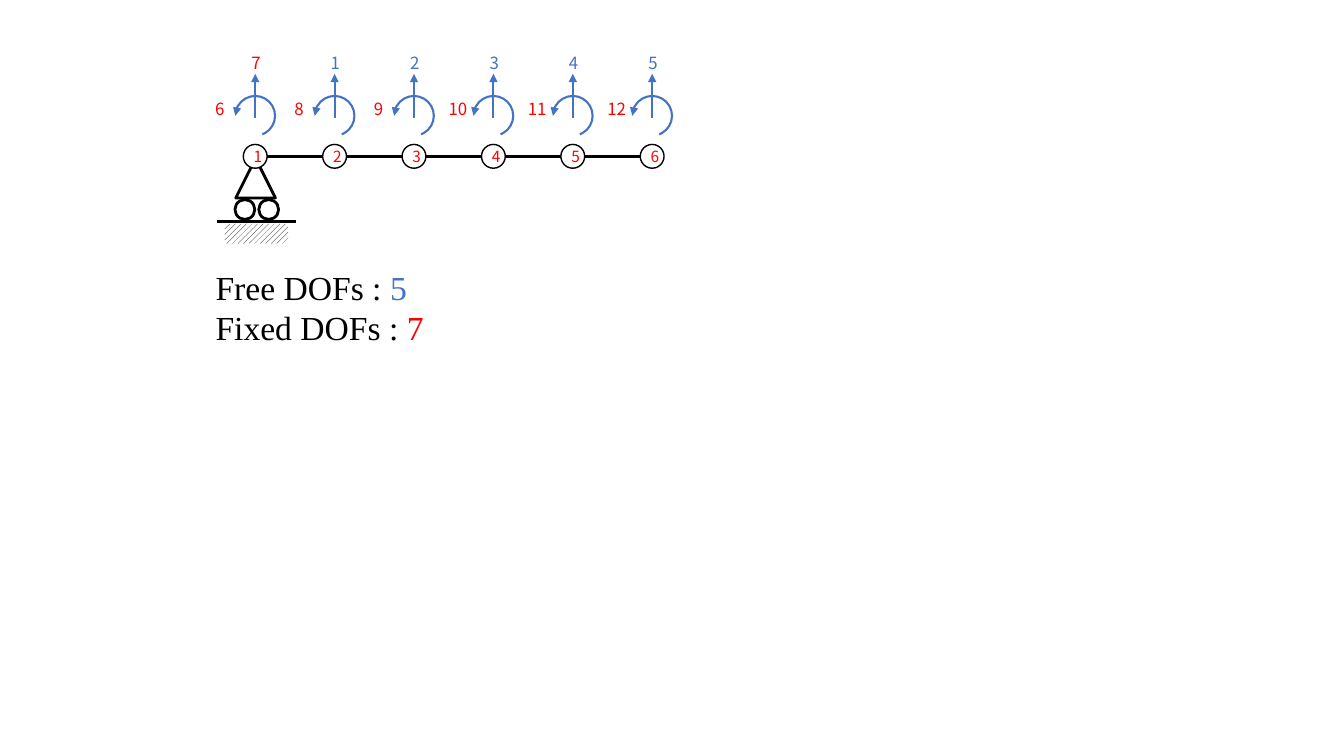
from dataclasses import dataclass

from lxml.etree import SubElement
from pptx import Presentation
from pptx.dml.color import RGBColor
from pptx.enum.dml import MSO_PATTERN
from pptx.enum.shapes import MSO_CONNECTOR, MSO_SHAPE
from pptx.enum.text import MSO_ANCHOR, PP_ALIGN
from pptx.oxml.ns import qn
from pptx.util import Cm, Inches, Pt

COLORS = {"ink": "000000", "paper": "FFFFFF", "free": "4472C4", "fixed": "FF0000"}
LABEL_FONT = "Noto Sans CJK KR"
SUMMARY_FONT = "Times New Roman"

# Grid of 1 cm columns and rows; beam nodes stand two columns apart
FIRST_NODE = 6.43
NODE_PITCH = 2
BEAM_ROW = 3.94
NODE_SIZE = 0.6


@dataclass(frozen=True)
class Node:
    number: int
    vertical: str
    rotation: str
    vertical_color: str = "free"

    @property
    def column(self) -> float:
        return FIRST_NODE + NODE_PITCH * (self.number - 1)


@dataclass(frozen=True)
class Part:
    """Preset shape in grid columns and rows."""
    preset: MSO_SHAPE
    column: float
    row: float
    width: float
    height: float


NODES = [
    Node(1, "7", "6", "fixed"),
    Node(2, "1", "8"),
    Node(3, "2", "9"),
    Node(4, "3", "10"),
    Node(5, "4", "11"),
    Node(6, "5", "12"),
]

ROLLER_SUPPORT = [
    Part(MSO_SHAPE.ISOSCELES_TRIANGLE, 5.94, 3.99, 1, 1),
    Part(MSO_SHAPE.OVAL, 5.92, 5.03, 0.5, 0.5),
    Part(MSO_SHAPE.OVAL, 6.52, 5.03, 0.5, 0.5),
]

SUMMARY = [("Free DOFs : ", "5", "free"), ("Fixed DOFs : ", "7", "fixed")]


def rgb(color: str) -> RGBColor:
    return RGBColor.from_string(COLORS[color])


def style_run(run, size: float, font: str, color: str) -> None:
    run.font.size = Pt(size)
    run.font.name = font
    run.font.color.rgb = rgb(color)


def add_arrowhead(shape) -> None:
    outline = shape.element.spPr.find(qn("a:ln"))
    SubElement(outline, qn("a:tailEnd"), type="triangle")


def draw_part(slide, part: Part, color: str = "ink", weight: float = 2):
    shape = slide.shapes.add_shape(
        part.preset, Cm(part.column), Cm(part.row), Cm(part.width), Cm(part.height))
    shape.shadow.inherit = False
    shape.fill.background()
    shape.line.color.rgb = rgb(color)
    shape.line.width = Pt(weight)
    return shape


def draw_line(slide, start: tuple[float, float], end: tuple[float, float],
              color: str, weight: float):
    line = slide.shapes.add_connector(
        MSO_CONNECTOR.STRAIGHT, *(Cm(length) for length in start + end))
    line.line.color.rgb = rgb(color)
    line.line.width = Pt(weight)
    SubElement(line.element.spPr, qn("a:effectLst"))
    return line


def draw_label(slide, text: str, column: float, row: float, color: str):
    label = slide.shapes.add_textbox(Cm(column), Cm(row), Cm(1), Cm(0.77))
    frame = label.text_frame
    frame.word_wrap = True
    frame.text = text
    frame.paragraphs[0].alignment = PP_ALIGN.CENTER
    style_run(frame.paragraphs[0].runs[0], 12, LABEL_FONT, color)
    return label


def draw_support(slide) -> None:
    for part in ROLLER_SUPPORT:
        draw_part(slide, part)
    draw_line(slide, (5.46, 5.59), (7.45, 5.59), "ink", 2)
    ground = draw_part(slide, Part(MSO_SHAPE.RECTANGLE, 5.66, 5.64, 1.6, 0.5))
    ground.line.fill.background()
    ground.fill.patterned()
    ground.fill.pattern = MSO_PATTERN.WIDE_UPWARD_DIAGONAL
    ground.fill.fore_color.rgb = rgb("ink")
    ground.fill.back_color.rgb = rgb("paper")


def draw_node(slide, node: Node) -> None:
    circle = draw_part(slide, Part(
        MSO_SHAPE.OVAL, node.column - NODE_SIZE / 2, BEAM_ROW - NODE_SIZE / 2,
        NODE_SIZE, NODE_SIZE), weight=1)
    circle.fill.solid()
    circle.fill.fore_color.rgb = rgb("paper")
    frame = circle.text_frame
    frame.text = str(node.number)
    frame.vertical_anchor = MSO_ANCHOR.MIDDLE
    frame.paragraphs[0].alignment = PP_ALIGN.CENTER
    style_run(frame.paragraphs[0].runs[0], 11, LABEL_FONT, "fixed")


def draw_freedoms(slide, node: Node) -> None:
    column = node.column
    displacement = draw_line(slide, (column, 2.97), (column, 1.86), "free", 1.5)
    add_arrowhead(displacement)

    turn = draw_part(slide, Part(MSO_SHAPE.ARC, column - 0.5, 2.42, 1, 1), "free", 1.5)
    turn.adjustments[0] = 66.6
    turn.adjustments[1] = 0
    turn.element.spPr.xfrm.set("flipH", "1")
    add_arrowhead(turn)

    draw_label(slide, node.vertical, column - 0.48, 1.2, node.vertical_color)
    rotation = draw_label(slide, node.rotation, column - 1.52, 2.37, "fixed")
    rotation.text_frame.margin_right = 0


def draw_summary(slide) -> None:
    box = slide.shapes.add_textbox(Cm(5.18), Cm(6.6), Cm(25.88), Cm(2.31))
    frame = box.text_frame
    frame.word_wrap = True
    frame.text = "\n".join(caption for caption, _, _ in SUMMARY)
    for paragraph, (_, count, color) in zip(frame.paragraphs, SUMMARY):
        style_run(paragraph.runs[0], 24, SUMMARY_FONT, "ink")
        total = paragraph.add_run()
        total.text = count
        style_run(total, 24, SUMMARY_FONT, color)


def main() -> None:
    deck = Presentation()
    deck.slide_width, deck.slide_height = Inches(13.33), Inches(7.5)
    slide = deck.slides.add_slide(deck.slide_layouts[6])

    # Support and beam
    draw_support(slide)
    draw_line(slide, (NODES[0].column, BEAM_ROW), (NODES[-1].column, BEAM_ROW), "ink", 1.75)

    # Nodes, then their degrees of freedom
    for node in NODES:
        draw_node(slide, node)
    for node in NODES:
        draw_freedoms(slide, node)

    # Totals
    draw_summary(slide)
    deck.save("out.pptx")


if __name__ == "__main__":
    main()
